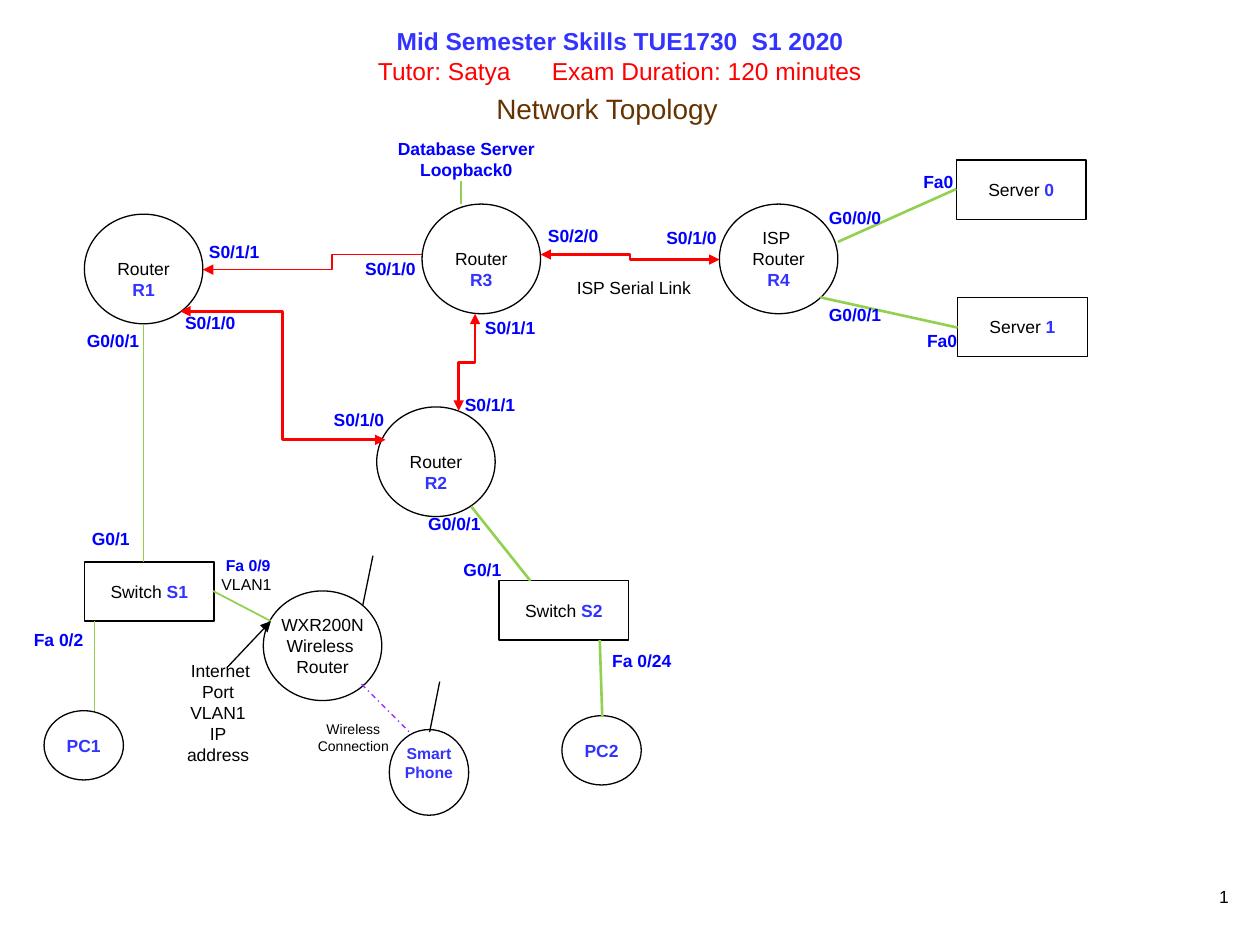
import pptx
import pptx.util
import pptx.dml.color
import pptx.enum.dml
import pptx.enum.shapes
import pptx.enum.text
import pptx.oxml.ns
from lxml import etree

Inches, Pt = pptx.util.Inches, pptx.util.Pt
SHAPE = pptx.enum.shapes.MSO_SHAPE
CONNECTOR = pptx.enum.shapes.MSO_CONNECTOR
ALIGN = pptx.enum.text.PP_ALIGN
ANCHOR = pptx.enum.text.MSO_ANCHOR
qn = pptx.oxml.ns.qn

COLORS = {"black": "000000", "white": "FFFFFF", "name": "3333FF", "port": "0000FF",
          "serial": "FF0000", "ethernet": "92D050", "wireless": "9933FF", "heading": "663300"}
BOLD = {"name", "port"}
LINE_HEIGHT = 0.16

# Node kinds: preset, width, height
KINDS = {"router": (SHAPE.OVAL, 0.94, 0.87), "pc": (SHAPE.OVAL, 0.63, 0.55),
         "phone": (SHAPE.OVAL, 0.63, 0.68), "box": (SHAPE.RECTANGLE, 1.03, 0.47)}

# Text lines are lists of (text, colour, extra gap in points)


def router(name):
    return [[("Router", "black")], [(name, "name")]]


def box(word, name):
    return [[(word + " ", "black"), (name, "name")]]


# Nodes: kind, left, top, lines, font size, text lines to shift down
NODES = [
    ("router", 0.67, 1.7, router("R1"), 10, 1),
    ("router", 3.35, 1.62, router("R3"), 10, 1),
    ("router", 2.99, 3.23, router("R2"), 10, 1),
    ("router", 5.71, 1.62, [[("ISP ", "black")]] + router("R4"), 10, 0),
    ("router", 2.09, 4.69, [[(word, "black")] for word in ("WXR200N", "Wireless ", "Router")], 10, 0),
    ("pc", 0.35, 5.64, [[("PC1", "name")]], 10, 0),
    ("pc", 4.46, 5.68, [[("PC2", "name")]], 10, 0),
    ("phone", 3.09, 5.79, [[("Smart", "name")], [("Phone", "name")]], 9, -1),
    ("box", 0.67, 4.46, box("Switch", "S1"), 10, 0),
    ("box", 3.96, 4.61, box("Switch", "S2"), 10, 0),
    ("box", 7.59, 1.27, box("Server", "0"), 10, 0),
    ("box", 7.6, 2.36, box("Server", "1"), 10, 0),
]

# Straight links: from x, from y, to x, to y, colour, width
LINKS = [
    (1.14, 4.46, 1.14, 2.57, "ethernet", 1),
    (0.75, 5.64, 0.75, 4.93, "ethernet", 1),
    (2.15, 4.93, 1.69, 4.69, "ethernet", 1),
    (3.66, 1.62, 3.66, 1.44, "ethernet", 1),
    (4.78, 5.69, 4.76, 5.08, "ethernet", 1.5),
    (4.21, 4.61, 3.74, 4.02, "ethernet", 1.5),
    (6.65, 1.92, 7.59, 1.5, "ethernet", 1.5),
    (6.51, 2.36, 7.6, 2.6, "ethernet", 1.5),
    (2.88, 4.8, 2.96, 4.41, "black", 0.75),
    (3.41, 5.81, 3.49, 5.41, "black", 0.75),
]
POINTER = (1.8, 5.3, 2.15, 4.93, "black", 0.75)
WIRELESS_LINK = (2.87, 5.43, 3.27, 5.83, "wireless", 0.75)

# Serial links bend halfway; the first runs behind R3, the last from top to bottom
R1_R3_LINK = (1.61, 2.14, 3.66, 2.02, "serial", 1)
SERIAL_LINKS = [
    (4.29, 2.02, 5.71, 2.06, "serial", 1.5),
    (1.43, 2.47, 3.06, 3.49, "serial", 1.5),
]
VERTICAL_SERIAL_LINK = (3.77, 2.49, 3.64, 3.26, "serial", 1.5)

# Port labels: text, left, top, width
PORTS = [
    ("S0/1/1", 1.56, 1.86, 0.79), ("S0/1/0", 2.8, 2, 0.79), ("S0/1/0", 1.37, 2.43, 0.79),
    ("S0/1/0", 2.55, 3.2, 0.79), ("S0/1/1", 3.75, 2.47, 0.79), ("S0/1/1", 3.59, 3.08, 0.79),
    ("S0/2/0", 4.25, 1.74, 0.78), ("S0/1/0", 5.19, 1.75, 0.63),
    ("G0/0/1", 0.59, 2.57, 0.71), ("G0/1", 0.63, 4.14, 0.71), ("Fa 0/2", 0.17, 4.94, 0.71),
    ("Fa 0/24", 4.76, 5.11, 0.71), ("G0/0/1", 3.3, 4.02, 0.71), ("G0/1", 3.58, 4.39, 0.71),
    ("G0/0/0", 6.48, 1.59, 0.63), ("G0/0/1", 6.48, 2.36, 0.63),
    ("Fa0", 7.26, 2.57, 0.63), ("Fa0", 7.23, 1.31, 0.63),
]

# Other texts: left, top, width, height, lines, font size, alignment
TEXTS = [
    (1.95, 0.16, 5.94, 0.57,
     [[("Mid Semester Skills TUE1730", "name"), (" ", "name", 3.9), ("S1 2020", "name")],
      [("Tutor: Satya", "serial"), (" ", "serial", 19.5), ("Exam Duration: 120 minutes", "serial")]],
     14, ALIGN.CENTER),
    (3.84, 0.68, 1.98, 0.37, [[("Network Topology", "heading")]], 16, ALIGN.LEFT),
    (3.01, 1.05, 1.38, 0.44, [[("Database Server", "port")], [("Loopback0", "port")]], 10, ALIGN.CENTER),
    (4.34, 2.15, 1.38, 0.27, [[("ISP Serial Link", "black")]], 10, ALIGN.CENTER),
    (1.66, 4.36, 0.77, 0.4, [[(" ", "black"), ("Fa 0/9", "port")], [("VLAN1", "black")]], 9, ALIGN.LEFT),
    (1.34, 5.19, 0.78, 0.94,
     [[(" Internet Port", "black")], [("VLAN1", "black")], [("IP address", "black")]], 10, ALIGN.CENTER),
    (2.37, 5.67, 0.87, 0.37, [[("Wireless", "black")], [("Connection", "black")]], 8, ALIGN.CENTER),
    (9.49, 6.98, 0.36, 0.31, [[("1", "black")]], 10, ALIGN.RIGHT),
]

presentation = pptx.Presentation()
presentation.slide_width, presentation.slide_height = Inches(10), Inches(7.5)
slide = presentation.slides.add_slide(presentation.slide_layouts[6])


def rgb(color):
    return pptx.dml.color.RGBColor.from_string(COLORS[color])


def write(frame, lines, size, align):
    for index, line in enumerate(lines):
        paragraph = frame.add_paragraph() if index else frame.paragraphs[0]
        paragraph.alignment = align
        paragraph.font.name, paragraph.font.size = "Arial", Pt(size)
        for text, color, *gap in line:
            run = paragraph.add_run()
            run.text = text
            run.font.name, run.font.size = "Arial", Pt(size)
            run.font.color.rgb, run.font.bold = rgb(color), color in BOLD
            if gap:
                run.font._element.set("spc", str(round(gap[0] * 100)))


def add_text(left, top, width, height, lines, size, align):
    textbox = slide.shapes.add_textbox(*map(Inches, (left, top, width, height)))
    textbox.text_frame.word_wrap = True
    write(textbox.text_frame, lines, size, align)


def add_node(kind, left, top, lines, size, shift):
    preset, width, height = KINDS[kind]
    shape = slide.shapes.add_shape(preset, *map(Inches, (left, top, width, height)))
    shape.shadow.inherit = False
    shape.fill.solid()
    shape.fill.fore_color.rgb = rgb("white")
    shape.line.color.rgb, shape.line.width = rgb("black"), Pt(0.75)
    frame = shape.text_frame
    frame.word_wrap, frame.vertical_anchor = False, ANCHOR.MIDDLE
    frame.margin_top = Inches(0.05 + LINE_HEIGHT * max(shift, 0))
    frame.margin_bottom = Inches(0.05 + LINE_HEIGHT * max(-shift, 0))
    write(frame, lines, size, ALIGN.CENTER)


def add_line(x1, y1, x2, y2, color, width, kind=CONNECTOR.STRAIGHT, arrows=(), dash=None):
    connector = slide.shapes.add_connector(kind, *map(Inches, (x1, y1, x2, y2)))
    connector.line.color.rgb, connector.line.width = rgb(color), Pt(width)
    if dash:
        connector.line.dash_style = dash
    for end in arrows:
        etree.SubElement(connector.line._get_or_add_ln(), qn("a:" + end), type="triangle")
    etree.SubElement(connector._element.spPr, qn("a:effectLst"))
    return connector


# The link that R3 covers comes before the nodes
add_line(*R1_R3_LINK, kind=CONNECTOR.ELBOW, arrows=("headEnd",))

# Nodes
for node in NODES:
    add_node(*node)

# Links
for link in LINKS:
    add_line(*link)
add_line(*POINTER, arrows=("tailEnd",))
add_line(*WIRELESS_LINK, dash=pptx.enum.dml.MSO_LINE.DASH_DOT)

both = {"kind": CONNECTOR.ELBOW, "arrows": ("headEnd", "tailEnd")}
for link in SERIAL_LINKS:
    add_line(*link, **both)

# The vertical link is a horizontal one turned a quarter about its centre
x1, y1, x2, y2, color, width = VERTICAL_SERIAL_LINK
center_x, center_y = (x1 + x2) / 2, (y1 + y2) / 2
half_length, half_offset = (y2 - y1) / 2, (x1 - x2) / 2
turned = add_line(center_x - half_length, center_y - half_offset,
                  center_x + half_length, center_y + half_offset, color, width, **both)
turned._element.spPr.find(qn("a:xfrm")).set("rot", str(90 * 60000))

# Labels
for text, left, top, width in PORTS:
    add_text(left, top, width, 0.27, [[(text, "port")]], 10, ALIGN.LEFT)
for entry in TEXTS:
    add_text(*entry)

presentation.save("out.pptx")
